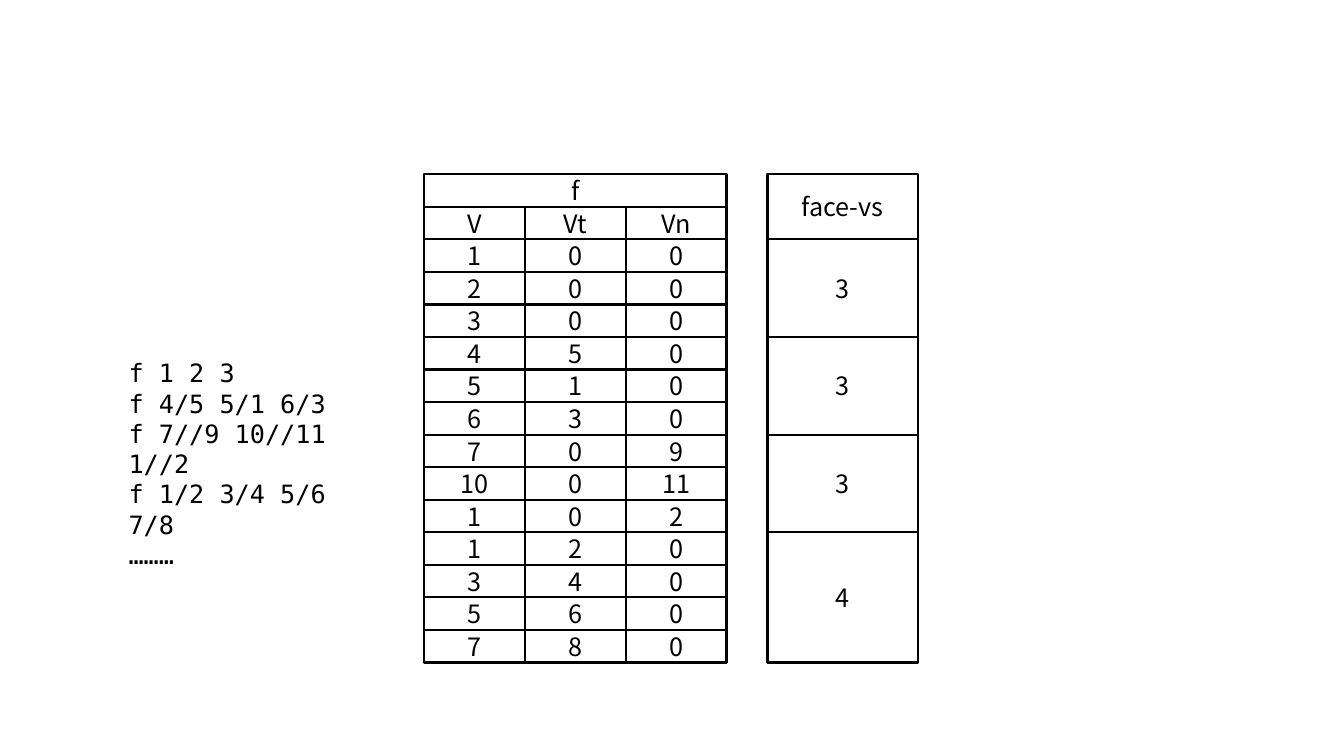
"""Builds a slide that shows how face lines become index and vertex-count arrays."""
import pptx
import pptx.dml.color
import pptx.enum.text
import pptx.util

PX = 9525
COLORS = {"paper": "FFFFFF", "ink": "000000"}
CODE_FONT = {"name": "DejaVu Sans Mono", "size": pptx.util.Pt(18)}
CELL_FONT = {"name": "Noto Sans CJK SC", "size": pptx.util.Pt(18)}

ROW_HEIGHT = 31
INDEX_WIDTH = 96
COUNT_WIDTH = 143
INDEX_LEFT = 404
COUNT_LEFT = 731
GRID_TOP = 166

FACE_LINES = ["f 1 2 3", "f 4/5 5/1 6/3", "f 7//9 10//11 1//2", "f 1/2 3/4 5/6 7/8", "………"]
INDEX_NAMES = ["V", "Vt", "Vn"]
FACES = [
    [(1, 0, 0), (2, 0, 0), (3, 0, 0)],
    [(4, 5, 0), (5, 1, 0), (6, 3, 0)],
    [(7, 0, 9), (10, 0, 11), (1, 0, 2)],
    [(1, 2, 0), (3, 4, 0), (5, 6, 0), (7, 8, 0)],
]


def px(*lengths):
    """Turn pixel lengths into EMU."""
    return [pptx.util.Emu(length * PX) for length in lengths]


def rgb(color):
    """Look up a named colour."""
    return pptx.dml.color.RGBColor.from_string(COLORS[color])


def format_font(font, values):
    """Apply a dict of font values and the ink colour."""
    for attribute, value in values.items():
        setattr(font, attribute, value)
    font.color.rgb = rgb("ink")


def add_code(shapes, lines, left, top, width, height):
    """Add a wrapped block of code lines."""
    code = shapes.add_textbox(*px(left, top, width, height)).text_frame
    code.word_wrap = True
    code.auto_size = pptx.enum.text.MSO_AUTO_SIZE.SHAPE_TO_FIT_TEXT
    code.text = "\n".join(lines)
    for line in code.paragraphs:
        format_font(line.font, CODE_FONT)


def add_cell(shapes, label, left, top, width, rows=1):
    """Add an outlined cell, a given number of rows tall, with centred text."""
    cell = shapes.add_shape(
        pptx.enum.shapes.MSO_SHAPE.RECTANGLE, *px(left, top, width, rows * ROW_HEIGHT)
    )
    cell.shadow.inherit = False
    cell.fill.solid()
    cell.fill.fore_color.rgb = rgb("paper")
    cell.line.color.rgb = rgb("ink")
    cell.line.width = pptx.util.Pt(1.5)
    cell.text_frame.text = str(label)
    cell.text_frame.vertical_anchor = pptx.enum.text.MSO_ANCHOR.MIDDLE
    caption = cell.text_frame.paragraphs[0]
    caption.alignment = pptx.enum.text.PP_ALIGN.CENTER
    format_font(caption.font, CELL_FONT)


def add_index_row(shapes, labels, top):
    """Add one row of index cells."""
    for column, label in enumerate(labels):
        add_cell(shapes, label, INDEX_LEFT + column * INDEX_WIDTH, top, INDEX_WIDTH)


def main():
    """Build and save the slide."""
    deck = pptx.Presentation()
    deck.slide_width, deck.slide_height = px(1280, 720)
    shapes = deck.slides.add_slide(deck.slide_layouts[6]).shapes

    add_code(shapes, FACE_LINES, 113, 336, 258, 156)
    add_cell(shapes, "f", INDEX_LEFT, GRID_TOP, len(INDEX_NAMES) * INDEX_WIDTH)
    add_index_row(shapes, INDEX_NAMES, GRID_TOP + ROW_HEIGHT)
    add_cell(shapes, "face-vs", COUNT_LEFT, GRID_TOP, COUNT_WIDTH, rows=2)

    top = GRID_TOP + 2 * ROW_HEIGHT
    for face in FACES:
        add_cell(shapes, len(face), COUNT_LEFT, top, COUNT_WIDTH, rows=len(face))
        for vertex in face:
            add_index_row(shapes.add_group_shape().shapes, vertex, top)
            top += ROW_HEIGHT

    deck.save("out.pptx")


if __name__ == "__main__":
    main()
